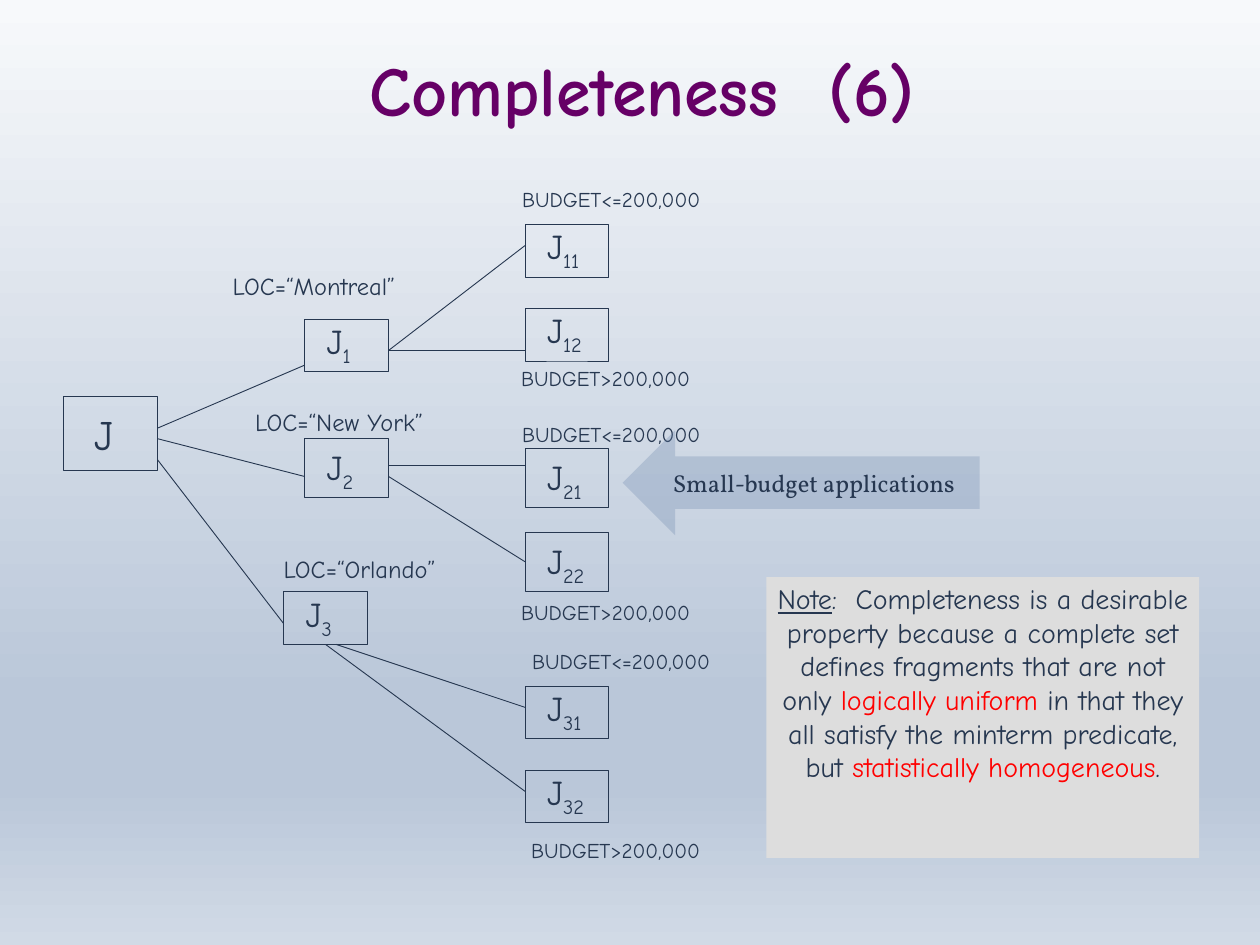
from lxml.etree import SubElement
from pptx import Presentation
from pptx.dml.color import RGBColor
from pptx.enum.shapes import MSO_CONNECTOR, MSO_SHAPE
from pptx.enum.text import MSO_ANCHOR, MSO_AUTO_SIZE, PP_ALIGN
from pptx.oxml.ns import qn
from pptx.util import Inches, Pt

WIDTH, HEIGHT = Inches(14.22), Inches(10.67)
UNIT = WIDTH / 120  # 120 columns; rows are as tall as columns are wide
BOTTOM, LEFT = 2, 1  # connection sites of a rectangle


class Theme:
    ink, title, accent = "263750", "660066", "FF0000"
    arrow, note = "6682AA", "DDDDDD"
    sky = [(0, "F7F9FB"), (74, "BAC7D9"), (83, "BAC7D9"), (100, "D1DAE6")]
    hand = "Comic Neue"
    heading = dict(name=hand, size=Pt(56.9), bold=True)
    root = dict(name=hand, size=Pt(34.1))
    node = dict(name=hand, size=Pt(28.4))
    place = dict(name=hand, size=Pt(19.9))
    budget = dict(name=hand, size=Pt(17.1))
    remark = dict(name=hand, size=Pt(22.8))
    caption = dict(name="Vollkorn", size=Pt(19.9))


# key: column, row, width, height
NODES = {
    "1": (29, 30.4, 8, 5), "2": (29, 41.75, 8, 5.65), "3": (27, 56.4, 8, 5),
    "11": (50, 21.4, 8, 5), "12": (50, 29.4, 8, 5),
    "21": (50, 42.7, 8, 5.65), "22": (50, 50.7, 8, 5.65),
    "31": (50, 65.4, 8, 5), "32": (50, 73.4, 8, 5),
}
# start, end, node and site joined at the start, node and site joined at the end
EDGES = [
    ((15, 40.8), (29, 34.8), None, None),
    ((15, 41.8), (29, 45.4), None, None),
    ((15, 43.8), (27, 59.4), None, None),
    ((37, 33.4), (50, 23.4), None, None),
    ((37, 33.4), (50, 33.4), None, None),
    ((37, 44.4), (50, 44.4), None, None),
    ((37, 45.4), (50, 53.4), None, ("22", LEFT)),
    ((32, 61.4), (50, 67.4), None, None),
    ((31, 61.4), (50, 75.4), ("3", BOTTOM), None),
]
# text, column, row, width
PLACES = [
    ("LOC=“Montreal”", 20.25, 25.4, 19.3),
    ("LOC=“New York”", 22.3, 38.4, 20),
    ("LOC=“Orlando”", 25.2, 52.4, 18.1),
]
# column, row of the upper label, row of the lower label
BUDGETS = [(48.35, 17.4, 34.4), (48.35, 39.75, 56.7), (49.3, 61.4, 79.4)]
NOTE = [
    ("Note", dict(underline=True), Theme.ink),
    (":  Completeness is a desirable property because a complete set defines "
     "fragments that are not only ", {}, Theme.ink),
    ("logically uniform", {}, Theme.accent),
    (" in that they all satisfy the minterm predicate, but ", {}, Theme.ink),
    ("statistically homogeneous", {}, Theme.accent),
    (".", {}, Theme.ink),
]


def grid(*values):
    return [round(v * UNIT) for v in values]


def set_all(target, values):
    for name, value in values.items():
        setattr(target, name, value)


def add_run(p, text, style, color=Theme.ink):
    r = p.add_run()
    r.text = text
    set_all(r.font, style)
    r.font.color.rgb = RGBColor.from_string(color)
    return r


def paint_background(s):
    fill = s.background.fill
    fill.gradient()
    fill.gradient_angle = 270
    stops = s.element.find(".//" + qn("a:gsLst"))
    for old in list(stops):
        stops.remove(old)
    for share, color in Theme.sky:
        stop = SubElement(stops, qn("a:gs"), pos=str(share * 1000))
        SubElement(stop, qn("a:srgbClr"), val=color)


def add_title(s, text):
    title = s.shapes.title
    set_all(title, dict(zip(("left", "top", "width", "height"),
                            grid(31.4, 4, 59.5, 8.95))))
    tf = title.text_frame
    set_all(tf, dict(word_wrap=False, auto_size=MSO_AUTO_SIZE.NONE))
    p = tf.paragraphs[0]
    p.alignment = PP_ALIGN.CENTER
    add_run(p, text, Theme.heading, Theme.title)


def add_panel(s, kind, box, align, **frame):
    """Add a shape with neither fill nor line; return it and its paragraph."""
    sp = s.shapes.add_shape(kind, *grid(*box))
    sp.shadow.inherit = False
    sp.fill.background()
    sp.line.fill.background()
    set_all(sp.text_frame, dict(word_wrap=True, **frame))
    p = sp.text_frame.paragraphs[0]
    p.alignment = align
    return sp, p


def add_node(s, box, style, subscript="", **frame):
    sp, p = add_panel(s, MSO_SHAPE.RECTANGLE, box, PP_ALIGN.LEFT,
                      margin_right=0, **frame)
    sp.line.color.rgb = RGBColor.from_string(Theme.ink)
    sp.line.width = Pt(0.75)
    add_run(p, "J", style)
    if subscript:
        r = add_run(p, subscript, style)
        r.font._element.set("baseline", "-25000")
    return sp


def add_edge(s, nodes, start, end, begin_join, end_join):
    line = s.shapes.add_connector(MSO_CONNECTOR.STRAIGHT, *grid(*start, *end))
    line.line.color.rgb = RGBColor.from_string(Theme.ink)
    line.line.width = Pt(0.75)
    SubElement(line._element.spPr, qn("a:effectLst"))
    for connect, join in ((line.begin_connect, begin_join),
                          (line.end_connect, end_join)):
        if join:
            connect(nodes[join[0]], join[1])


def add_label(s, text, column, row, width, height, style):
    tf = s.shapes.add_textbox(*grid(column, row, width, height)).text_frame
    tf.word_wrap = False
    p = tf.paragraphs[0]
    p.alignment = PP_ALIGN.CENTER
    add_run(p, text, style)


def add_arrow(s, text):
    sp, p = add_panel(s, MSO_SHAPE.LEFT_ARROW, (59.3, 41, 34, 10), PP_ALIGN.RIGHT,
                      vertical_anchor=MSO_ANCHOR.MIDDLE, margin_right=Inches(0.28))
    sp.fill.solid()
    sp.fill.fore_color.rgb = RGBColor.from_string(Theme.arrow)
    color = sp._element.spPr.find(qn("a:solidFill"))[0]
    SubElement(color, qn("a:alpha"), val="28000")
    add_run(p, text, Theme.caption)


def add_note(s, parts):
    sp, p = add_panel(s, MSO_SHAPE.RECTANGLE, (73, 55, 41.2, 26.75),
                      PP_ALIGN.CENTER, vertical_anchor=MSO_ANCHOR.TOP)
    sp.fill.solid()
    sp.fill.fore_color.rgb = RGBColor.from_string(Theme.note)
    for text, extra, color in parts:
        add_run(p, text, Theme.remark | extra, color)


def main():
    prs = Presentation()
    prs.slide_width, prs.slide_height = WIDTH, HEIGHT
    s = prs.slides.add_slide(prs.slide_layouts[5])
    paint_background(s)
    add_title(s, "Completeness  (6)")
    add_node(s, (6, 37.8, 9, 7), Theme.root, margin_left=Inches(0.35),
             vertical_anchor=MSO_ANCHOR.MIDDLE)
    nodes = {key: add_node(s, box, Theme.node, key, margin_left=Inches(0.25),
                           vertical_anchor=MSO_ANCHOR.BOTTOM)
             for key, box in NODES.items()}
    for edge in EDGES:
        add_edge(s, nodes, *edge)
    for text, column, row, width in PLACES:
        add_label(s, text, column, row, width, 3.7, Theme.place)
    for column, upper, lower in BUDGETS:
        add_label(s, "BUDGET<=200,000", column, upper, 19.7, 3.3, Theme.budget)
        add_label(s, "BUDGET>200,000", column, lower, 18.65, 3.3, Theme.budget)
    add_arrow(s, "Small-budget applications")
    add_note(s, NOTE)
    prs.save("out.pptx")


if __name__ == "__main__":
    main()
